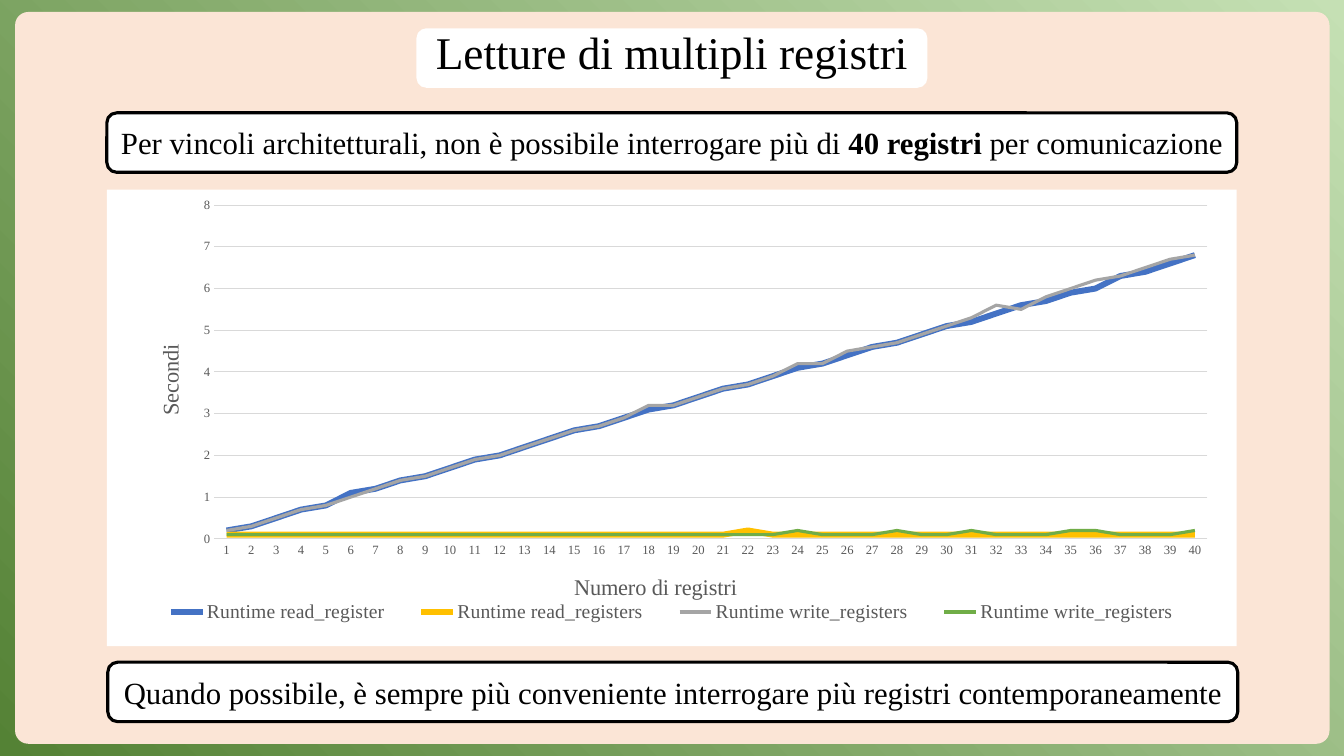
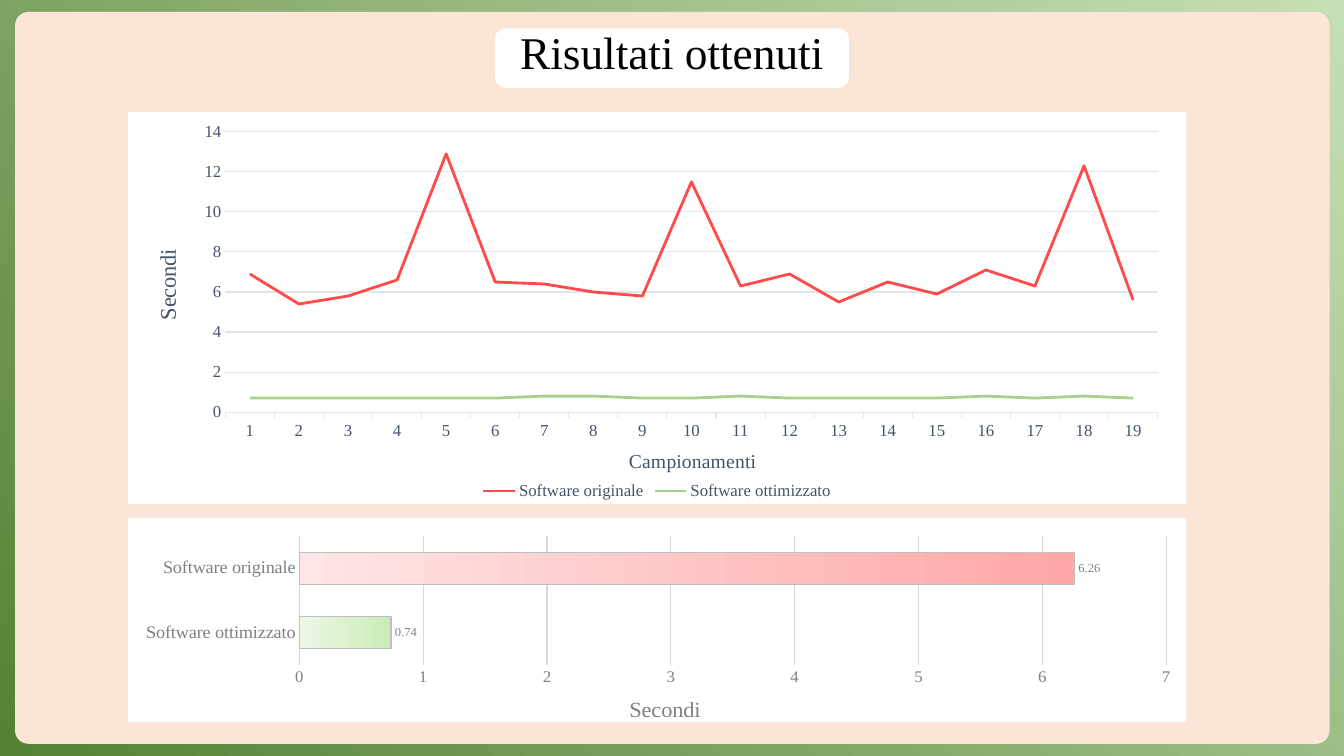
from lxml import etree
from pptx import Presentation
from pptx import util as u
from pptx.chart import data as cd
from pptx.dml import color as dc
from pptx.enum import chart as ec, shapes as es, text as et
from pptx.oxml import ns

FACE = "Times New Roman"
BLACK, WHITE, PEACH = "000000", "FFFFFF", "FBE5D6"
GREENS = ("C5E0B4", "548235")
WIDE, HIGH = 960, 540


def rgb(code):
    return dc.RGBColor.from_string(code)


def put(item, vals):
    for name, val in vals.items():
        setattr(item, name, val)


def style(font, size, tint, bold=False):
    put(font, {"name": FACE, "size": u.Pt(size), "bold": bold})
    font.color.rgb = rgb(tint)


def stroke(line, tint, width):
    line.fill.solid()
    put(line, {"width": u.Pt(width)})
    line.color.rgb = rgb(tint)


def blend(fill, tints, angle):
    fill.gradient()
    fill.gradient_angle = angle
    for stop, tint in zip(fill.gradient_stops, tints):
        stop.color.rgb = rgb(tint)


def seek(item, tag):
    return item.element.find(".//" + ns.qn(tag))


def place(node, after, spots, inner=False):
    """Give a chart part a manual layout, in fractions of the chart."""
    for old in node.findall(ns.qn("c:layout")):
        node.remove(old)
    lay = etree.Element(ns.qn("c:layout"))
    man = etree.SubElement(lay, ns.qn("c:manualLayout"))
    rows = [("layoutTarget", "inner")] if inner else []
    rows += [("xMode", "edge"), ("yMode", "edge")]
    rows += zip("xywh", spots)
    for tag, val in rows:
        etree.SubElement(man, ns.qn("c:" + tag)).set("val", str(val))
    prev = node.find(ns.qn(after)) if after else None
    if prev is None:
        node.insert(0, lay)
    else:
        prev.addnext(lay)


class Deck:
    def __init__(self):
        self.prs = Presentation()
        put(self.prs, {"slide_width": u.Pt(WIDE), "slide_height": u.Pt(HIGH)})
        self.slide = None

    def page(self, title, width):
        """Start a slide: backdrop, panel, title plate and title."""
        self.slide = self.prs.slides.add_slide(self.prs.slide_layouts[5])
        blend(self.slide.background.fill, GREENS, 225)
        self.block(10.8, 8.6, 938.9, 522.7, PEACH).adjustments[0] = 0.018
        self.block((WIDE - width) / 2, 20.2, width, 42.5, WHITE)
        head = self.slide.shapes.title
        put(head, {"left": 0, "top": u.Pt(17.3),
                   "width": u.Pt(WIDE), "height": u.Pt(43.2)})
        head.element.getparent().append(head.element)
        frame = head.text_frame
        put(frame, {"text": title, "auto_size": et.MSO_AUTO_SIZE.NONE,
                    "vertical_anchor": et.MSO_ANCHOR.BOTTOM})
        para = frame.paragraphs[0]
        put(para, {"alignment": et.PP_ALIGN.CENTER, "line_spacing": 0.9})
        style(para.runs[0].font, 32.4, BLACK)

    def block(self, x, y, w, h, fill):
        shape = self.slide.shapes.add_shape(
            es.MSO_SHAPE.ROUNDED_RECTANGLE, *map(u.Pt, (x, y, w, h)))
        shape.shadow.inherit = False
        shape.fill.solid()
        shape.fill.fore_color.rgb = rgb(fill)
        shape.line.fill.background()
        return shape

    def note(self, x, y, *parts):
        """Outlined box; every second part is bold."""
        shape = self.block(x, y, 807.1, 42.5, WHITE)
        stroke(shape.line, BLACK, 2.25)
        frame = shape.text_frame
        put(frame, {"word_wrap": True, "margin_left": 0, "margin_right": 0,
                    "vertical_anchor": et.MSO_ANCHOR.MIDDLE})
        para = frame.paragraphs[0]
        para.alignment = et.PP_ALIGN.CENTER
        for i, part in enumerate(parts):
            run = para.add_run()
            run.text = part
            style(run.font, 22, BLACK, i % 2 == 1)

    def chart(self, kind, box, cats, rows, plot):
        info = cd.CategoryChartData()
        info.categories = cats
        for name, vals in rows:
            info.add_series(name, vals)
        chart = self.slide.shapes.add_chart(
            kind, *map(u.Pt, box), info).chart
        put(chart, {"has_title": False, "has_legend": False})
        style(chart.font, 10, BLACK)
        chart.plots[0].vary_by_categories = False
        place(seek(chart, "c:plotArea"), None, plot, True)
        # White chart area without a border
        area = etree.Element(ns.qn("c:spPr"))
        fill = etree.SubElement(area, ns.qn("a:solidFill"))
        etree.SubElement(fill, ns.qn("a:srgbClr")).set("val", WHITE)
        edge = etree.SubElement(area, ns.qn("a:ln"))
        etree.SubElement(edge, ns.qn("a:noFill"))
        seek(chart, "c:chart").addnext(area)
        return chart

    def axis(self, axis, size, tint, line=None, tick=ec.XL_TICK_MARK.NONE):
        put(axis, {"major_tick_mark": tick, "has_major_gridlines": False,
                   "minor_tick_mark": ec.XL_TICK_MARK.NONE})
        style(axis.tick_labels.font, size, tint)
        if line:
            stroke(axis.format.line, line, 0.75)
        else:
            axis.format.line.fill.background()

    def scale(self, axis, size, tint, grid, top, step):
        """Value axis with gridlines and a fixed range."""
        self.axis(axis, size, tint)
        put(axis, {"minimum_scale": 0, "maximum_scale": top,
                   "major_unit": step, "has_major_gridlines": True})
        put(axis.tick_labels, {"number_format": "0",
                               "number_format_is_linked": False})
        stroke(axis.major_gridlines.format.line, grid, 0.75)

    def label(self, axis, words, size, tint, spot, turn=0):
        title = axis.axis_title
        title.text_frame.text = words
        style(title.text_frame.paragraphs[0].runs[0].font, size, tint)
        seek(title, "a:bodyPr").set("rot", str(turn * 60000))
        place(title.element, "c:tx", spot)

    def legend(self, chart, size, tint, spot=None):
        chart.has_legend = True
        put(chart.legend, {"position": ec.XL_LEGEND_POSITION.BOTTOM,
                           "include_in_layout": False})
        style(chart.legend.font, size, tint)
        if spot:
            place(seek(chart, "c:legend"), "c:legendPos", spot)

    def lines(self, chart, looks):
        for row, (tint, width) in zip(chart.plots[0].series, looks):
            row.smooth = False
            stroke(row.format.line, tint, width)


def count(last):
    return [str(i) for i in range(1, last + 1)]


def flat(size, base, peak, spots):
    """Level run of values with a few raised points."""
    return [peak if i in spots else base for i in range(1, size + 1)]


def reads(deck):
    deck.page("Letture di multipli registri", 365)
    one = [0.2, 0.3, 0.5, 0.7, 0.8, 1.1, 1.2, 1.4, 1.5, 1.7,
           1.9, 2, 2.2, 2.4, 2.6, 2.7, 2.9, 3.1, 3.2, 3.4,
           3.6, 3.7, 3.9, 4.1, 4.2, 4.4, 4.6, 4.7, 4.9, 5.1,
           5.2, 5.4, 5.6, 5.7, 5.9, 6, 6.3, 6.4, 6.6, 6.8]
    write = [0.2, 0.3, 0.5, 0.7, 0.8, 1, 1.2, 1.4, 1.5, 1.7,
             1.9, 2, 2.2, 2.4, 2.6, 2.7, 2.9, 3.2, 3.2, 3.4,
             3.6, 3.7, 3.9, 4.2, 4.2, 4.5, 4.6, 4.7, 4.9, 5.1,
             5.3, 5.6, 5.5, 5.8, 6, 6.2, 6.3, 6.5, 6.7, 6.8]
    rows = [("Runtime read_register", one),
            ("Runtime read_registers", flat(40, 0.1, 0.2, {22})),
            ("Runtime write_registers", write),
            ("Runtime write_registers",
             flat(40, 0.1, 0.2, {24, 28, 31, 35, 36, 40}))]
    chart = deck.chart(ec.XL_CHART_TYPE.LINE, (76.3, 135.4, 807.1, 326.2),
                       count(40), rows, (0.095, 0.034, 0.879, 0.731))
    ink, grid = "595959", "D9D9D9"
    cat, val = chart.category_axis, chart.value_axis
    deck.axis(cat, 9, ink, grid)
    deck.scale(val, 9, ink, grid, 8, 1)
    deck.label(cat, "Numero di registri", 16, ink, (0.41, 0.83))
    deck.label(val, "Secondi", 16, ink, (0.04, 0.33), -90)
    deck.legend(chart, 14, ink, (0.03, 0.89, 0.94, 0.07))
    deck.lines(chart, [("4472C4", 4.25), ("FFC000", 4.25),
                       ("A5A5A5", 2.25), ("70AD47", 2.25)])
    deck.note(76.3, 80.6,
              "Per vincoli architetturali, non è possibile interrogare più di ",
              "40 registri ", "per comunicazione")
    deck.note(77, 473, "Quando possibile, è sempre più conveniente "
              "interrogare più registri contemporaneamente")


def results(deck):
    deck.page("Risultati ottenuti", 252.7)
    old, new = "Software originale", "Software ottimizzato"

    # Samples over time
    rows = [(old, [6.9, 5.4, 5.8, 6.6, 12.9, 6.5, 6.4, 6, 5.8, 11.5,
                   6.3, 6.9, 5.5, 6.5, 5.9, 7.1, 6.3, 12.3, 5.6]),
            (new, flat(19, 0.7, 0.8, {7, 8, 11, 16, 18}))]
    chart = deck.chart(ec.XL_CHART_TYPE.LINE, (91.4, 79.9, 756, 280.1),
                       count(19), rows, (0.092, 0.051, 0.881, 0.715))
    ink, grid = "44546A", "E0E5EB"
    cat, val = chart.category_axis, chart.value_axis
    deck.axis(cat, 12, ink, grid, ec.XL_TICK_MARK.OUTSIDE)
    deck.scale(val, 12, ink, grid, 14, 2)
    deck.label(cat, "Campionamenti", 14, ink, (0.47, 0.85))
    deck.label(val, "Secondi", 16, ink, (0.02, 0.34), -90)
    deck.legend(chart, 12, ink)
    deck.lines(chart, [("FF4B4B", 2), ("A9D18E", 2)])

    # Averages
    chart = deck.chart(ec.XL_CHART_TYPE.BAR_CLUSTERED,
                       (91.4, 370.1, 756, 150.5), [new, old],
                       [("Secondi", [0.74, 6.26])],
                       (0.162, 0.089, 0.819, 0.631))
    ink, grid = "808080", "D9D9D9"
    deck.axis(chart.category_axis, 13, ink, grid)
    deck.scale(chart.value_axis, 12, ink, grid, 7, 1)
    deck.label(chart.value_axis, "Secondi", 16, ink, (0.47, 0.85))
    plot = chart.plots[0]
    put(plot, {"gap_width": 100, "has_data_labels": True})
    put(plot.data_labels, {"show_value": True, "number_format": "0.00",
                           "number_format_is_linked": False,
                           "position": ec.XL_LABEL_POSITION.OUTSIDE_END})
    style(plot.data_labels.font, 9, ink)
    for i, tints in enumerate([("C9ECB4", "EDF8E8"), ("FFA7A7", "FFE5E5")]):
        look = plot.series[0].points[i].format
        blend(look.fill, tints, 180)
        stroke(look.line, "BFBFBF", 0.75)


def main():
    deck = Deck()
    reads(deck)
    results(deck)
    deck.prs.save("out.pptx")


if __name__ == "__main__":
    main()
